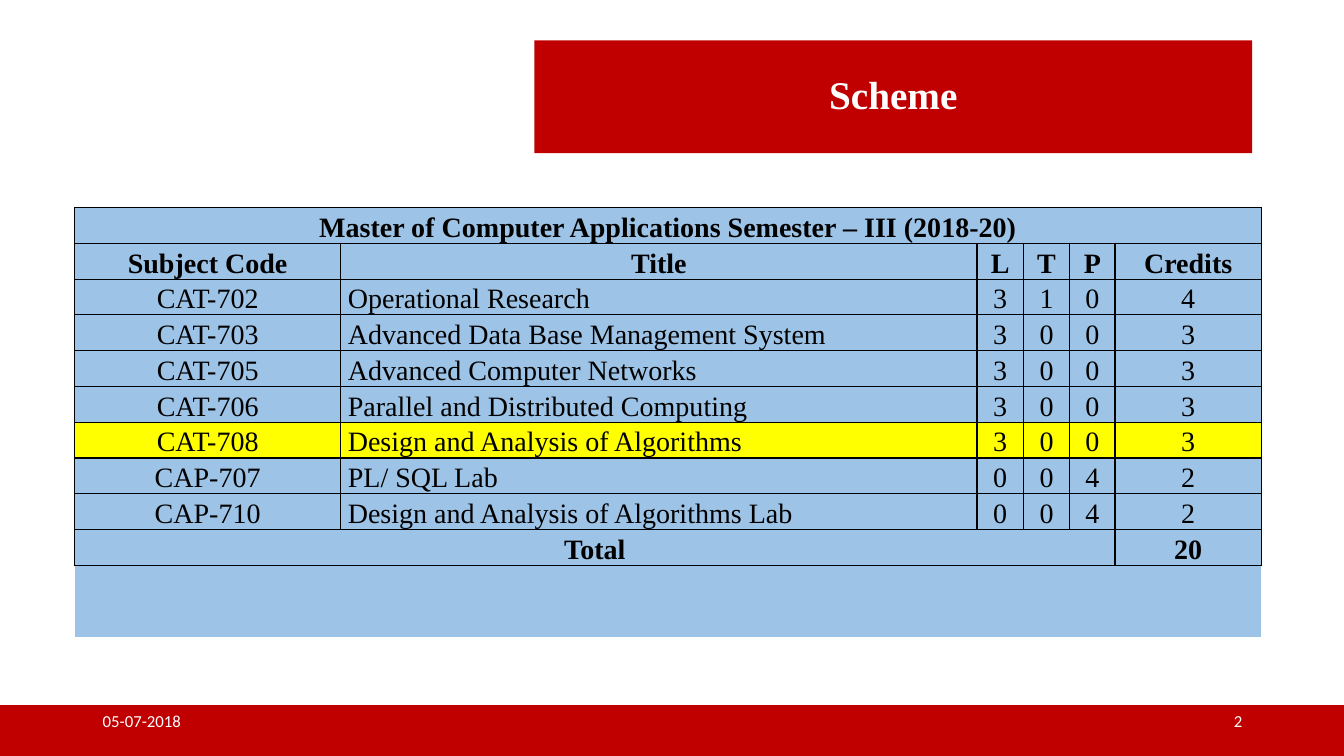
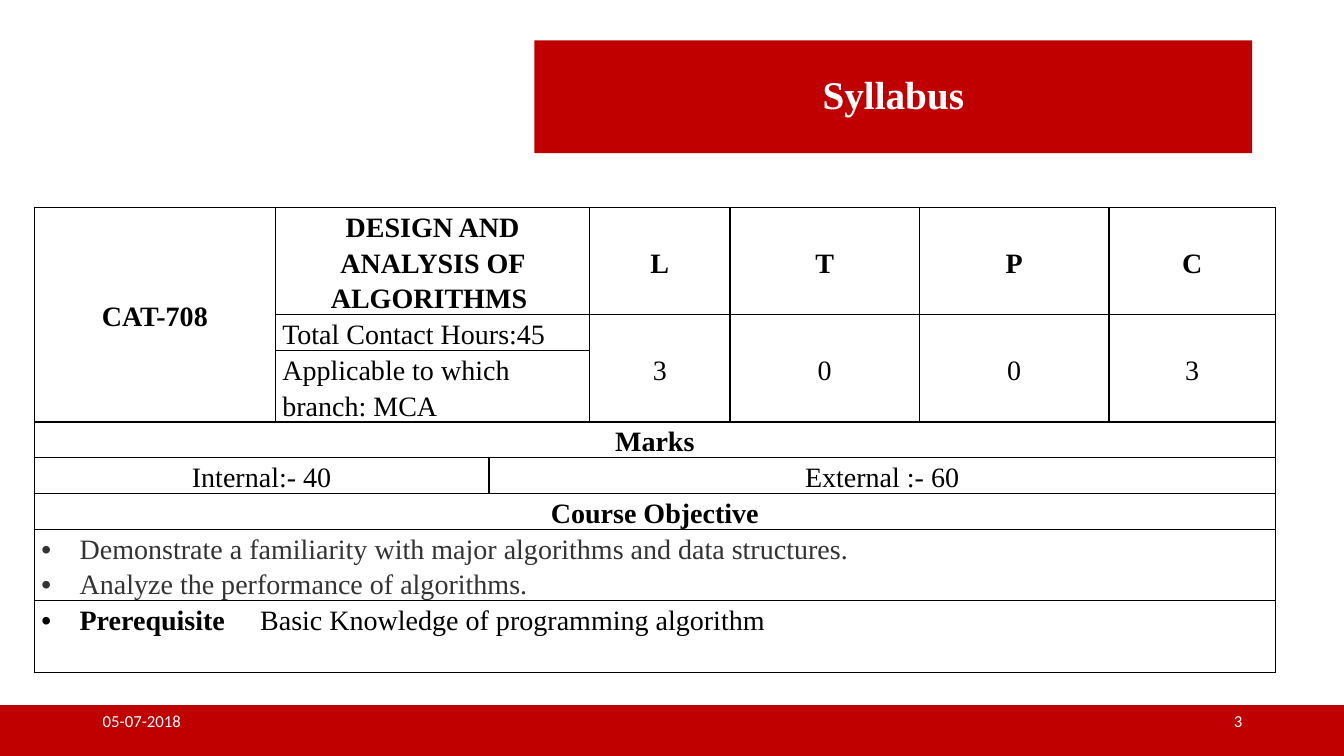
"""Build the course scheme and syllabus slides."""
from lxml import etree
from pptx import Presentation
from pptx.dml.color import RGBColor
from pptx.enum.shapes import MSO_SHAPE
from pptx.enum.text import MSO_ANCHOR, PP_ALIGN
from pptx.oxml.ns import qn
from pptx.util import Inches, Pt

RECT, MIDDLE, TOP = MSO_SHAPE.RECTANGLE, MSO_ANCHOR.MIDDLE, MSO_ANCHOR.TOP
LEFT, CENTER, RIGHT, JUSTIFY = PP_ALIGN.LEFT, PP_ALIGN.CENTER, PP_ALIGN.RIGHT, PP_ALIGN.JUSTIFY
RED = RGBColor(0xC0, 0x00, 0x00)
WHITE = RGBColor(0xFF, 0xFF, 0xFF)
BLACK = RGBColor(0x00, 0x00, 0x00)
GRAY = RGBColor(0x33, 0x33, 0x33)
BLUE = RGBColor(0x9D, 0xC3, 0xE6)
YELLOW = RGBColor(0xFF, 0xFF, 0x00)
SERIF, SANS = "Times New Roman", "Calibri"
TABLE_TOP = Inches(2.06)
LINE = Pt(25.5)
INDENT = Inches(0.38)

SLIDES = [
    dict(
        title="Scheme", number="2", left=0.74,
        cols=[2.64, 6.31, 0.46, 0.46, 0.45, 1.45], lines=[1] * 12,
        rows=[
            ["Master of Computer Applications Semester – III (2018-20)"],
            ["Subject Code", "Title", "L", "T", "P", "Credits"],
            ["CAT-702", "Operational Research", "3", "1", "0", "4"],
            ["CAT-703", "Advanced Data Base Management System", "3", "0", "0", "3"],
            ["CAT-705", "Advanced Computer Networks", "3", "0", "0", "3"],
            ["CAT-706", "Parallel and Distributed Computing", "3", "0", "0", "3"],
            ["CAT-708", "Design and Analysis of Algorithms", "3", "0", "0", "3"],
            ["CAP-707", "PL/ SQL Lab", "0", "0", "4", "2"],
            ["CAP-710", "Design and Analysis of Algorithms Lab", "0", "0", "4", "2"],
            ["Total", "", "", "", "", "20"],
        ],
        spans=[(0, 0, 0, 5), (9, 0, 9, 4)],
        bold={0, 1, 9}, bullets={}, fill=BLUE, marked={6: YELLOW},
    ),
    dict(
        title="Syllabus", number="3", left=0.34,
        cols=[2.39, 2.12, 1, 1.39, 1.88, 1.88, 1.65], lines=[3, 1, 2, 1, 1, 1, 2, 2],
        rows=[
            ["CAT-708", "DESIGN AND ANALYSIS OF ALGORITHMS ", "", "L", "T", "P", "C"],
            ["", "Total Contact Hours:45", "", "3", "0", "0", "3"],
            ["", "Applicable to which branch: MCA"],
            ["Marks"],
            ["Internal:- 40", "", "External :- 60"],
            ["Course Objective"],
            ["Demonstrate a familiarity with major algorithms and data structures.\n"
             "Analyze the performance of algorithms."],
            ["Prerequisite|Basic Knowledge of programming algorithm"],
        ],
        spans=[(0, 0, 2, 0), (4, 0, 4, 1), (4, 2, 4, 6)]
        + [(r, 1, r, 2) for r in range(3)]
        + [(1, c, 2, c) for c in range(3, 7)]
        + [(r, 0, r, 6) for r in (3, 5, 6, 7)],
        bold={0, 3, 5}, bullets={6: GRAY, 7: BLACK}, fill=None, marked={},
    ),
]


def add_run(p, text, name, size, color, bold=False):
    r = p.add_run()
    r.text = text
    for key, value in dict(name=name, size=Pt(size), bold=bold).items():
        setattr(r.font, key, value)
    r.font.color.rgb = color
    return r


def set_borders(cell, visible):
    tcPr = cell._tc.get_or_add_tcPr()
    for side in "LRTB":
        ln = etree.SubElement(tcPr, qn(f"a:ln{side}"), w=str(Pt(1)))
        if side in visible:
            solid = etree.SubElement(ln, qn("a:solidFill"))
            etree.SubElement(solid, qn("a:srgbClr"), val=str(BLACK))
        else:
            etree.SubElement(ln, qn("a:noFill"))


prs = Presentation()
prs.slide_width, prs.slide_height = Inches(13.33), Inches(7.5)
layout = prs.slide_layouts[5]

for index, page in enumerate(SLIDES):
    s = prs.slides.add_slide(layout)
    if index == 0:
        band = s.shapes.add_shape(RECT, 0, Inches(7), prs.slide_width, Inches(0.5))
        band.shadow.inherit = False
        band.fill.solid()
        band.fill.fore_color.rgb = RED
        band.line.color.rgb = RED
        band.line.width = Pt(1)
        band.element.nvSpPr.cNvPr.set("id", "20")
        layout.shapes.element.append(band.element)

    title = s.shapes.title
    box = dict(left=5.3, top=0.4, width=7.12, height=1.12)
    for key, value in box.items():
        setattr(title, key, Inches(value))
    title.fill.solid()
    title.fill.fore_color.rgb = RED
    title.text_frame.vertical_anchor = MIDDLE
    p = title.text_frame.paragraphs[0]
    p.alignment, p.line_spacing = CENTER, 0.9
    add_run(p, page["title"], SERIF, 28, WHITE, True)

    for left, text, align in [(0.92, "05-07-2018", LEFT), (9.42, page["number"], RIGHT)]:
        sp = s.shapes.add_textbox(Inches(left), Inches(6.95), Inches(3), Inches(0.4))
        tf = sp.text_frame
        tf.word_wrap, tf.vertical_anchor = True, MIDDLE
        tf.paragraphs[0].alignment = align
        add_run(tf.paragraphs[0], text, SANS, 12, WHITE)

    cols, lines, rows = page["cols"], page["lines"], page["rows"]
    table = s.shapes.add_table(
        len(lines), len(cols), Inches(page["left"]), TABLE_TOP,
        Inches(sum(cols)), LINE * sum(lines)).table
    table.first_row = table.horz_banding = False
    for col, width in zip(table.columns, cols):
        col.width = Inches(width)
    for row, count in zip(table.rows, lines):
        row.height = LINE * count
    for top, left, bottom, right in page["spans"]:
        table.cell(top, left).merge(table.cell(bottom, right))

    for r in range(len(lines)):
        texts = rows[r] if r < len(rows) else []
        for c in range(len(cols)):
            cell = table.cell(r, c)
            set_borders(cell, "LRTB" if r < len(rows) else "T" if r == len(rows) else "")
            fill = page["marked"].get(r, page["fill"])
            if fill is None:
                cell.fill.background()
            else:
                cell.fill.solid()
                cell.fill.fore_color.rgb = fill
            cell.margin_left = cell.margin_right = Inches(0.07)
            cell.margin_top = cell.margin_bottom = 0
            bold, bulleted = r in page["bold"], r in page["bullets"]
            cell.vertical_anchor = TOP if bulleted else MIDDLE
            if c >= len(texts) or not texts[c]:
                continue
            color = page["bullets"].get(r, BLACK)
            tf = cell.text_frame
            for i, line in enumerate(texts[c].split("\n")):
                p = tf.add_paragraph() if i else tf.paragraphs[0]
                p.line_spacing = LINE
                p.alignment = JUSTIFY if bulleted else LEFT if c == 1 and not bold else CENTER
                if bulleted:
                    pPr = p._p.get_or_add_pPr()
                    pPr.set("marL", str(INDENT))
                    pPr.set("indent", str(-INDENT))
                    etree.SubElement(pPr, qn("a:buFont"), typeface="Arial")
                    etree.SubElement(pPr, qn("a:buChar"), char="•")
                head, gap, body = line.rpartition("|")
                if gap:
                    add_run(p, head, SERIF, 20, color, True)
                    space = add_run(p, " ", SERIF, 20, color)
                    space.font._element.set("spc", "2000")
                add_run(p, body, SERIF, 20, color, bold)

prs.save("out.pptx")
